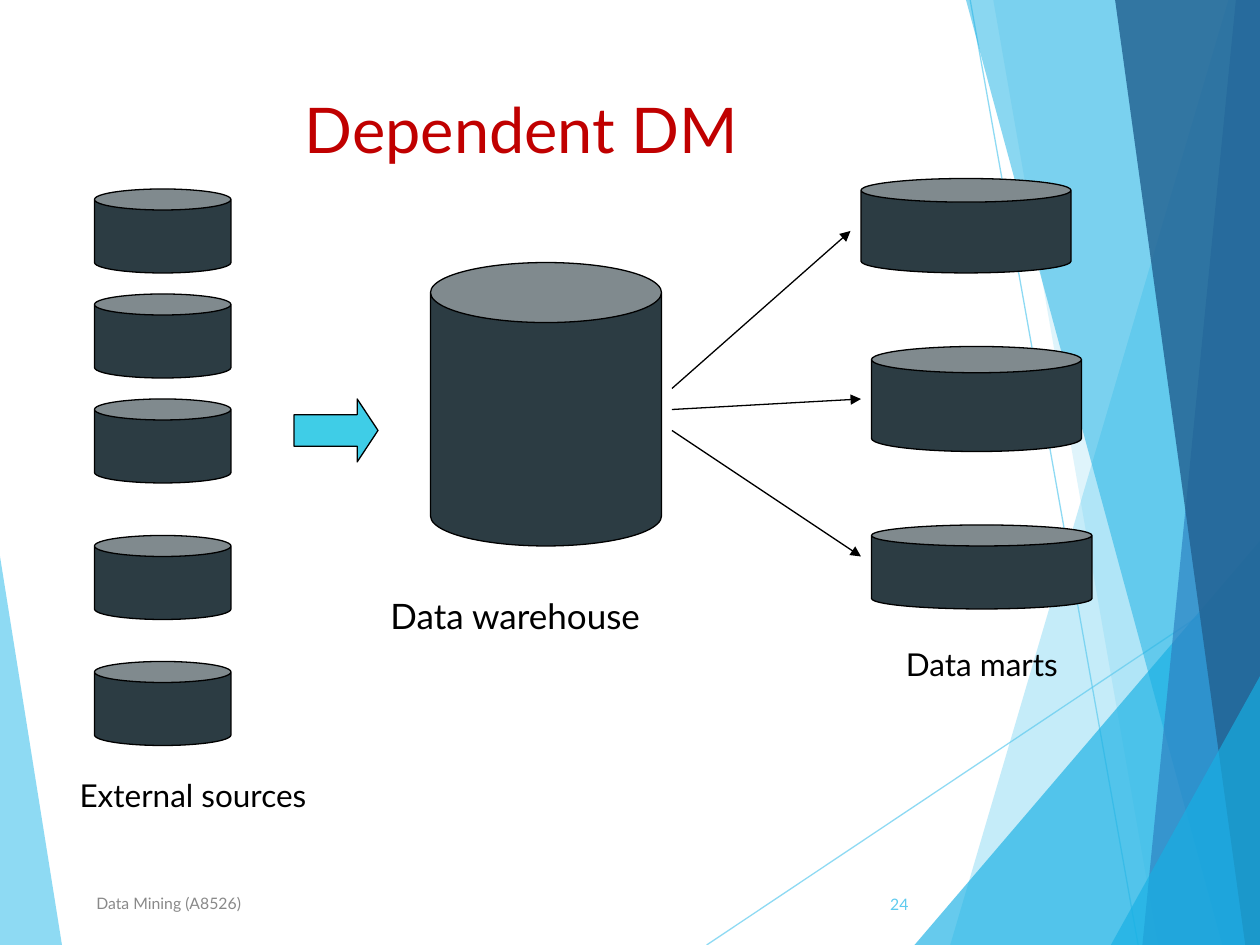
"""Build the "Dependent DM" slide: external sources, a data warehouse and its data marts."""
from lxml.etree import SubElement
from pptx import Presentation
from pptx.dml.color import RGBColor
from pptx.enum.shapes import MSO_CONNECTOR as Connector, MSO_SHAPE as Shape
from pptx.enum.text import MSO_ANCHOR as Anchor, PP_ALIGN as Align
from pptx.oxml.ns import qn
from pptx.util import Inches, Pt

COLORS = {
    "black": "000000", "title": "C00000", "footer": "898989",
    "sky": "5FCBEF", "azure": "17B0E4", "blue": "2E83C3", "navy": "236292",
    "can": "2C3C43", "arrow": "3FCDE7",
}
FONT = "Lato"
COLUMNS, ROWS = 120, 90

deck = Presentation()
deck.slide_width, deck.slide_height = Inches(10), Inches(7.5)
page = deck.slides.add_slide(deck.slide_layouts[6])


def cells(*lengths):
    return [round(length * deck.slide_width / COLUMNS) for length in lengths]


def write(text, area, size, color="black", align=Align.LEFT, anchor=Anchor.TOP, hanging=False):
    box = page.shapes.add_textbox(*cells(*area))
    frame = box.text_frame
    frame.word_wrap = True
    frame.vertical_anchor = anchor
    para = frame.paragraphs[0]
    para.alignment = align
    if hanging:
        properties = para._p.get_or_add_pPr()
        properties.set("marL", str(Inches(1.5)))
        properties.set("indent", str(Inches(-0.5)))
    span = para.add_run()
    span.text = text
    span.font.name, span.font.size = FONT, Pt(size)
    span.font.color.rgb = RGBColor.from_string(COLORS[color])


facets = [
    ("sky", 70, [(0, 53), (5.9, ROWS), (0, ROWS)]),
    ("sky", 36, [(117, 0), (90.5, ROWS), (COLUMNS, ROWS), (COLUMNS, 0)]),
    ("sky", 20, [(94.6, 0), (110.3, ROWS), (COLUMNS, ROWS), (COLUMNS, 0)]),
    ("azure", 66, [(87.1, ROWS), (COLUMNS, 51.5), (COLUMNS, ROWS)]),
    ("azure", 50, [(92, 0), (116.4, ROWS), (COLUMNS, ROWS), (COLUMNS, 0)]),
    ("blue", 70, [(117.7, 0), (108.8, ROWS), (COLUMNS, ROWS), (COLUMNS, 0)]),
    ("navy", 82, [(106.2, 0), (118.6, ROWS), (COLUMNS, ROWS), (COLUMNS, 0)]),
    ("azure", 66, [(105.8, ROWS), (COLUMNS, 64.4), (COLUMNS, ROWS)]),
]
rays = [(67.3, ROWS, COLUMNS, 54.8), (92.4, 0, 108.4, ROWS)]
flows = [(64, 37, 81, 22), (64, 39, 82, 38), (64, 41, 82, 53)]

for ends in rays + flows:
    line = page.shapes.add_connector(Connector.STRAIGHT, *cells(*ends))
    line.line.width = Pt(0.75)
    line.line.color.rgb = RGBColor.from_string(COLORS["sky" if ends in rays else "black"])
    if ends in rays:
        tint = line.line._ln.find(".//" + qn("a:srgbClr"))
        SubElement(tint, qn("a:alpha"), val="70000")
    else:
        SubElement(line.line._ln, qn("a:tailEnd"), type="triangle", w="med", len="med")
    SubElement(line._element.spPr, qn("a:effectLst"))

for color, opacity, corners in facets:
    points = [cells(*corner) for corner in corners]
    outline = page.shapes.build_freeform(*points[0])
    outline.add_line_segments(points[1:], close=True)
    facet = outline.convert_to_shape()
    facet.shadow.inherit = False
    facet.line.fill.background()
    facet.fill.solid()
    facet.fill.fore_color.rgb = RGBColor.from_string(COLORS[color])
    tint = facet._element.spPr.find(".//" + qn("a:srgbClr"))
    SubElement(tint, qn("a:alpha"), val=str(opacity * 1000))

warehouse = (41, 25, 22, 27)
marts = [(82, 17, 20, 9), (83, 33, 20, 10), (83, 50, 21, 8)]
sources = [(9, row, 13, 8) for row in (18, 28, 38, 51, 63)]
solids = [(Shape.CAN, area, "can", [0.25]) for area in marts + sources]
solids.append((Shape.CAN, warehouse, "can", [0.26]))
solids.append((Shape.RIGHT_ARROW, (28, 38, 8, 6), "arrow", [0.5, 0.33]))

for kind, area, color, adjustments in solids:
    solid = page.shapes.add_shape(kind, *cells(*area))
    for index, value in enumerate(adjustments):
        solid.adjustments[index] = value
    solid.shadow.inherit = False
    solid.fill.solid()
    solid.fill.fore_color.rgb = RGBColor.from_string(COLORS[color])
    solid.line.color.rgb = RGBColor.from_string(COLORS["black"])
    solid.line.width = Pt(0.75)

write("Dependent DM", (8, 8, 83.3, 9), 36, color="title", align=Align.CENTER)
write("Data warehouse", (24, 56, 46, 5.3), 20, hanging=True)
write("External sources", (-5.6, 73.3, 83.3, 10.3), 18, hanging=True)
write("Data marts", (73.1, 60.8, 34, 4.8), 18, hanging=True)
write("Data Mining (A8526)", (8, 83.6, 60.7, 4.8), 9, color="footer", anchor=Anchor.MIDDLE)
write("24", (81, 83.7, 6.7, 4.8), 9, color="sky", align=Align.RIGHT, anchor=Anchor.MIDDLE)

deck.save("out.pptx")
